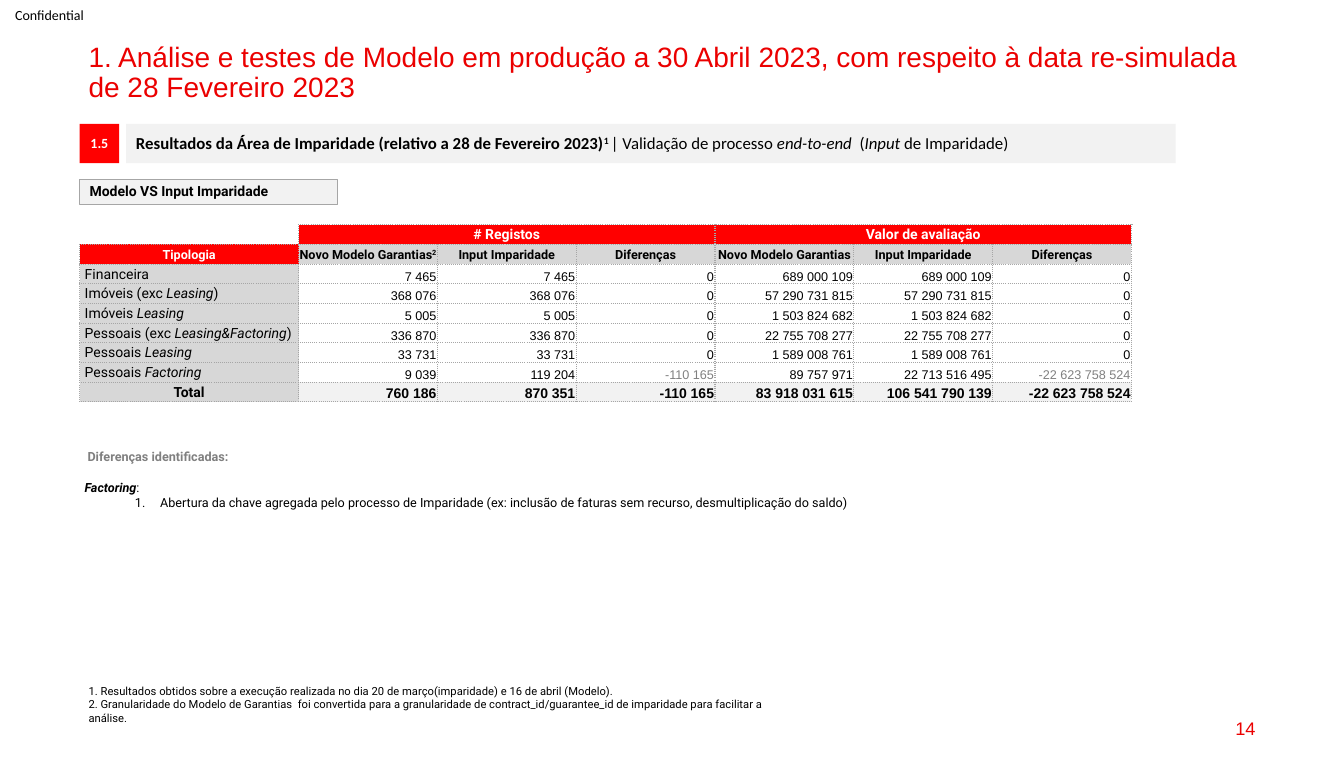
from pptx import Presentation
from pptx.dml.color import RGBColor
from pptx.enum.shapes import MSO_SHAPE as Shape
from pptx.enum.text import MSO_ANCHOR as Anchor, PP_ALIGN as Align
from pptx.oxml.ns import qn
from pptx.util import Inches, Pt
from lxml.etree import SubElement as sub

RED, GREY, PALE, EDGE = "FF0000", "D7D7D7", "F2F2F2", "A6A6A6"


def hue(code):
    return RGBColor.from_string(code)


def put(frame, text, size=10, font="Roboto", color="000000", bold=False,
        align=Align.LEFT, line=None, before=None, left=0, hang=0, number=False):
    para = frame.paragraphs[0]
    if para.runs:
        para = frame.add_paragraph()
    para.alignment = align
    para.line_spacing = line
    if before:
        para.space_before = Pt(before)
    props = para._p.get_or_add_pPr()
    props.set("marL", str(Inches(left)))
    props.set("indent", str(Inches(hang)))
    if number:
        sub(props, qn("a:buFont"), typeface="+mj-lt")
        sub(props, qn("a:buAutoNum"), type="arabicPeriod")
    for b, chunk in enumerate(text.split("~")):
        for i, part in enumerate(chunk.split("*")):
            for s, piece in enumerate(part.split("^")):
                if not piece:
                    continue
                run = para.add_run()
                run.text = piece
                face = run.font
                face.size, face.name = Pt(size), font
                face.color.rgb = hue(color)
                face.bold = bold or b % 2 == 1
                face.italic = i % 2 == 1
                if s % 2:
                    run._r.get_or_add_rPr().set("baseline", "30000")
    if not text:
        sub(para._p, qn("a:endParaRPr"), sz=str(size * 100))


deck = Presentation()
deck.slide_width, deck.slide_height = Inches(13.33), Inches(7.76)
col, row = deck.slide_width / 100, deck.slide_height / 100
slide = deck.slides.add_slide(deck.slide_layouts[6])

TOP, MID = Anchor.TOP, Anchor.MIDDLE
boxes = [
    ((1.13, 0, 6.3, 3.74), None, None, MID, 0, [
        ("Confidential", dict(font="Calibri"))]),
    ((5.85, 4.9, 88.3, 4.38), None, None, TOP, 0.1, [
        ("1. Análise e testes de Modelo em produção a 30 Abril 2023, com respeito "
         "à data re-simulada de 28 Fevereiro 2023",
         dict(size=20, font="Arial", color="EB0000", line=0.9))]),
    ((71.64, 90.46, 22.51, 5.28), None, None, MID, 0.1, [
        ("14", dict(size=13, font="Arial", color="EB0000", align=Align.RIGHT))]),
    ((5.93, 15.85, 2.93, 5.03), RED, None, MID, 0.1, [
        ("1.5", dict(font="Calibri", color="FFFFFF", bold=True,
                     align=Align.CENTER, line=0.9))]),
    ((9.38, 15.85, 78.09, 5.03), PALE, None, MID, 0.1, [
        ("~Resultados da Área de Imparidade (relativo a 28 de Fevereiro 2023)^1 ^~"
         "| Validação de processo *end-to-end  *(*Input *de Imparidade)",
         dict(size=12, font="Calibri", line=0.9))]),
    ((5.93, 22.94, 19.2, 3.22), PALE, EDGE, MID, 0.1, [
        ("Modelo VS Input Imparidade", dict(bold=True, line=0.9))]),
    ((5.85, 86.86, 52.44, 4.77), None, None, TOP, 0.1, [
        ("1. Resultados obtidos sobre a execução realizada no dia 20 de "
         "março(imparidade) e 16 de abril (Modelo).", dict(size=8)),
        ("2. Granularidade do Modelo de Garantias  foi convertida para a granularidade "
         "de contract_id/guarantee_id de imparidade para facilitar a análise.",
         dict(size=8))]),
    ((5.55, 56.83, 79.14, 29.12), None, None, TOP, 0.1, [
        ("Diferenças identificadas:",
         dict(size=9, color="808080", bold=True, left=0.03)),
        ("~*Factoring*~:", dict(size=9, before=11)),
        ("Abertura da chave agregada pelo processo de Imparidade (ex: inclusão de "
         "faturas sem recurso, desmultiplicação do saldo)",
         dict(size=9, left=0.75, hang=-0.25, number=True))]),
]
for (x, y, w, h), fill, edge, anchor, pad, lines in boxes:
    place = [int(n) for n in (x * col, y * row, w * col, h * row)]
    if fill:
        box = slide.shapes.add_shape(Shape.RECTANGLE, *place)
        box.shadow.inherit = False
        box.fill.solid()
        box.fill.fore_color.rgb = hue(fill)
        if edge:
            box.line.color.rgb = hue(edge)
            box.line.width = Pt(0.75)
        else:
            box.line.fill.background()
    else:
        box = slide.shapes.add_textbox(*place)
    frame = box.text_frame
    frame.word_wrap = True
    frame.vertical_anchor = anchor
    frame.margin_left = frame.margin_right = Inches(pad)
    frame.margin_top = frame.margin_bottom = Inches(pad / 2)
    for text, style in lines:
        put(frame, text, **style)

heads = ["Input Imparidade", "Diferenças"]
data = [
    ["", "# Registos", "", "", "Valor de avaliação", "", ""],
    ["Tipologia", "Novo Modelo Garantias^2^", *heads, "Novo Modelo Garantias", *heads],
    ["Financeira", "7 465", "7 465", "0", "689 000 109", "689 000 109", "0"],
    ["Imóveis (exc *Leasing*)", "368 076", "368 076", "0",
     "57 290 731 815", "57 290 731 815", "0"],
    ["Imóveis *Leasing*", "5 005", "5 005", "0", "1 503 824 682", "1 503 824 682", "0"],
    ["Pessoais (exc *Leasing&Factoring*)", "336 870", "336 870", "0",
     "22 755 708 277", "22 755 708 277", "0"],
    ["Pessoais *Leasing*", "33 731", "33 731", "0",
     "1 589 008 761", "1 589 008 761", "0"],
    ["Pessoais *Factoring*", "9 039", "119 204", "-110 165",
     "89 757 971", "22 713 516 495", "-22 623 758 524"],
    ["Total", "760 186", "870 351", "-110 165",
     "83 918 031 615", "106 541 790 139", "-22 623 758 524"],
]
last = len(data) - 1
grid = slide.shapes.add_table(
    len(data), len(data[0]), int(5.93 * col), int(28.74 * row),
    int(78.26 * col), int(22.68 * row)).table
grid.first_row = grid.horz_banding = False
for c, part in enumerate(grid.columns):
    part.width = int((10.33 if c else 16.28) * col)
for part in grid.rows:
    part.height = int(2.52 * row)

for r, line in enumerate(data):
    for c, text in enumerate(line):
        cell = grid.cell(r, c)
        label, total, corner = c == 0, r == last, r == c == 0
        number = r > 1 and not label
        cell.margin_left = Inches(0.05 if label and 1 < r < last else 0.01)
        cell.margin_right = cell.margin_top = Inches(0.01)
        cell.margin_bottom = 0
        cell.vertical_anchor = Anchor.BOTTOM if number else MID
        props = cell._tc.get_or_add_tcPr()
        for side in ("B",) if corner else "LRTB":
            edge = sub(props, qn("a:ln" + side), w=str(Pt(1)))
            paint = sub(edge, qn("a:solidFill"))
            sub(paint, qn("a:srgbClr"), val=EDGE)
            sub(edge, qn("a:prstDash"), val="sysDot")
        if corner:
            cell.fill.background()
        else:
            cell.fill.solid()
            red = r == 0 or (r == 1 and label)
            cell.fill.fore_color.rgb = hue(
                RED if red else GREY if r == 1 or label else PALE if total else "FFFFFF")
        ink = "000000"
        if r == 0 or (r == 1 and label):
            ink = "FFFFFF"
        elif number and not total and text.startswith("-"):
            ink = "808080"
        put(cell.text_frame, text, color=ink,
            size=9 if r == 1 or (number and not total) else 10,
            font="Arial" if number else "Roboto", bold=r < 2 or total,
            align=Align.RIGHT if number else
            Align.CENTER if r < 2 or total else Align.LEFT)
for c in (1, 4):
    grid.cell(0, c).merge(grid.cell(0, c + 2))

deck.save("out.pptx")
